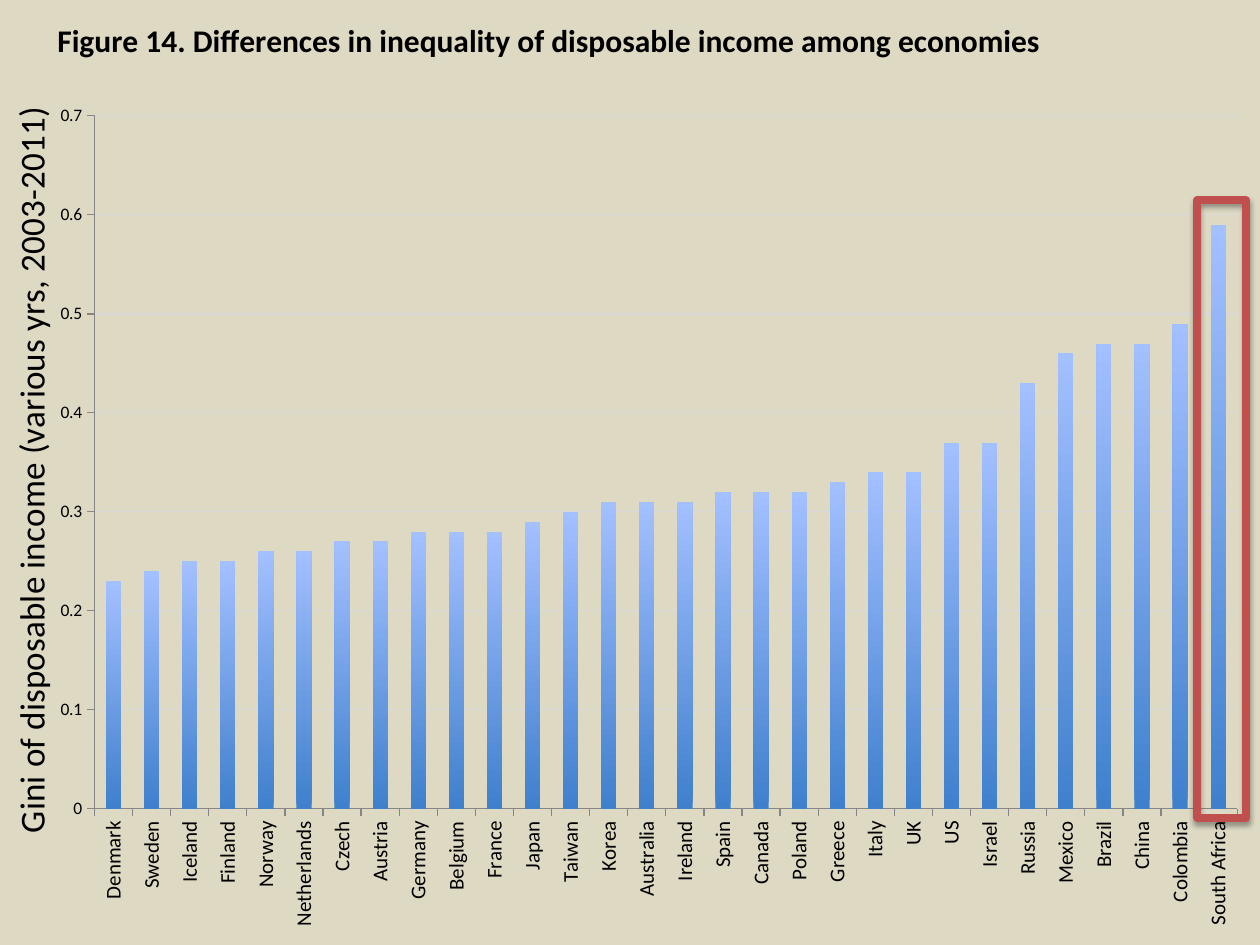
from dataclasses import dataclass
from pptx import Presentation
from pptx.chart.data import CategoryChartData
from pptx.dml.color import RGBColor
from pptx.enum.chart import XL_CHART_TYPE, XL_TICK_MARK
from pptx.enum.shapes import MSO_SHAPE
from pptx.oxml import parse_xml
from pptx.oxml.ns import nsdecls
from pptx.util import Inches, Pt


@dataclass
class Theme:
    font: str = "Calibri"
    background: RGBColor = RGBColor.from_string("DDD9C3")
    text: RGBColor = RGBColor.from_string("000000")
    grid: RGBColor = RGBColor.from_string("D9D9D9")
    axis: RGBColor = RGBColor.from_string("868686")
    column_bottom: RGBColor = RGBColor.from_string("3F80CD")
    column_top: RGBColor = RGBColor.from_string("A3C0FF")
    highlight: RGBColor = RGBColor.from_string("C0504D")
    title_size: Pt = Pt(18)
    axis_title_size: Pt = Pt(20)
    category_size: Pt = Pt(12)
    value_size: Pt = Pt(10)


def manual_layout(**settings):
    entries = "".join(f'<c:{key} val="{value}"/>' for key, value in settings.items())
    return parse_xml(f'<c:layout {nsdecls("c")}><c:manualLayout>{entries}</c:manualLayout></c:layout>')


def set_title(title, text, size, bold, left, top):
    title.text_frame.text = text
    font = title.text_frame.paragraphs[0].font
    font.name = theme.font
    font.size = size
    font.bold = bold
    font.color.rgb = theme.text
    for layout in title.element.xpath("c:layout"):
        title.element.remove(layout)
    title.element.xpath("c:tx")[0].addnext(
        manual_layout(xMode="edge", yMode="edge", x=left / width, y=top / height)
    )


theme = Theme()
width, height = Inches(10), Inches(7.5)
gini = {
    "Denmark": 0.23, "Sweden": 0.24, "Iceland": 0.25, "Finland": 0.25, "Norway": 0.26,
    "Netherlands": 0.26, "Czech": 0.27, "Austria": 0.27, "Germany": 0.28, "Belgium": 0.28,
    "France": 0.28, "Japan": 0.29, "Taiwan": 0.30, "Korea": 0.31, "Australia": 0.31,
    "Ireland": 0.31, "Spain": 0.32, "Canada": 0.32, "Poland": 0.32, "Greece": 0.33,
    "Italy": 0.34, "UK": 0.34, "US": 0.37, "Israel": 0.37, "Russia": 0.43,
    "Mexico": 0.46, "Brazil": 0.47, "China": 0.47, "Colombia": 0.49, "South Africa": 0.59,
}

presentation = Presentation()
presentation.slide_width = width
presentation.slide_height = height
slide = presentation.slides.add_slide(presentation.slide_layouts[6])
slide.background.fill.solid()
slide.background.fill.fore_color.rgb = theme.background

gini_data = CategoryChartData()
gini_data.categories = list(gini)
gini_data.add_series("Series 1", list(gini.values()))
chart = slide.shapes.add_chart(
    XL_CHART_TYPE.COLUMN_CLUSTERED, 0, 0, width, height, gini_data
).chart
chart.has_legend = False
chart.font.name = theme.font
chart.font.size = theme.value_size
chart.font.color.rgb = theme.text

set_title(chart.chart_title, "Figure 14. Differences in inequality of disposable income among economies",
          theme.title_size, True, Inches(0.41), Inches(0.1))

economies = chart.category_axis
inequality = chart.value_axis
for axis, size in ((economies, theme.category_size), (inequality, theme.value_size)):
    axis.major_tick_mark = XL_TICK_MARK.OUTSIDE
    axis.minor_tick_mark = XL_TICK_MARK.NONE
    axis.format.line.color.rgb = theme.axis
    axis.format.line.width = Pt(0.75)
    axis.tick_labels.font.size = size

inequality.minimum_scale = 0
inequality.maximum_scale = 0.7
inequality.major_unit = 0.1
inequality.tick_labels.number_format = "General"
inequality.tick_labels.number_format_is_linked = False
inequality.has_major_gridlines = True
inequality.major_gridlines.format.line.color.rgb = theme.grid
inequality.major_gridlines.format.line.width = Pt(0.75)
set_title(inequality.axis_title, "Gini of disposable income (various yrs, 2003-2011)",
          theme.axis_title_size, False, Inches(0), Inches(0.8))

for body in chart.element.xpath(".//c:catAx/c:txPr/a:bodyPr | .//c:valAx/c:title//a:bodyPr"):
    body.set("rot", "-5400000")
    body.set("vert", "horz")

plot_area = chart.element.xpath(".//c:plotArea")[0]
for layout in plot_area.xpath("c:layout"):
    plot_area.remove(layout)
plot_area.insert(0, manual_layout(
    layoutTarget="inner", xMode="edge", yMode="edge",
    x=Inches(0.75) / width, y=Inches(0.92) / height,
    w=Inches(9.07) / width, h=Inches(5.5) / height,
))

columns = chart.plots[0]
columns.gap_width = 150
columns.vary_by_categories = False
column_fill = columns.series[0].format.fill
column_fill.gradient()
column_fill.gradient_angle = 90
for stop, color in zip(column_fill.gradient_stops, (theme.column_bottom, theme.column_top)):
    stop.color.rgb = color

highlight = slide.shapes.add_shape(
    MSO_SHAPE.RECTANGLE, Inches(9.5), Inches(1.59), Inches(0.39), Inches(4.9)
)
highlight.fill.background()
highlight.line.color.rgb = theme.highlight
highlight.line.width = Pt(4.5)
highlight.element.spPr.append(parse_xml(
    f'<a:effectLst {nsdecls("a")}>'
    f'<a:outerShdw blurRad="{Pt(3.1)}" dist="{Pt(1.8)}" dir="5400000" rotWithShape="0">'
    f'<a:srgbClr val="{theme.text}"><a:alpha val="35000"/></a:srgbClr>'
    '</a:outerShdw></a:effectLst>'
))

presentation.save("out.pptx")
